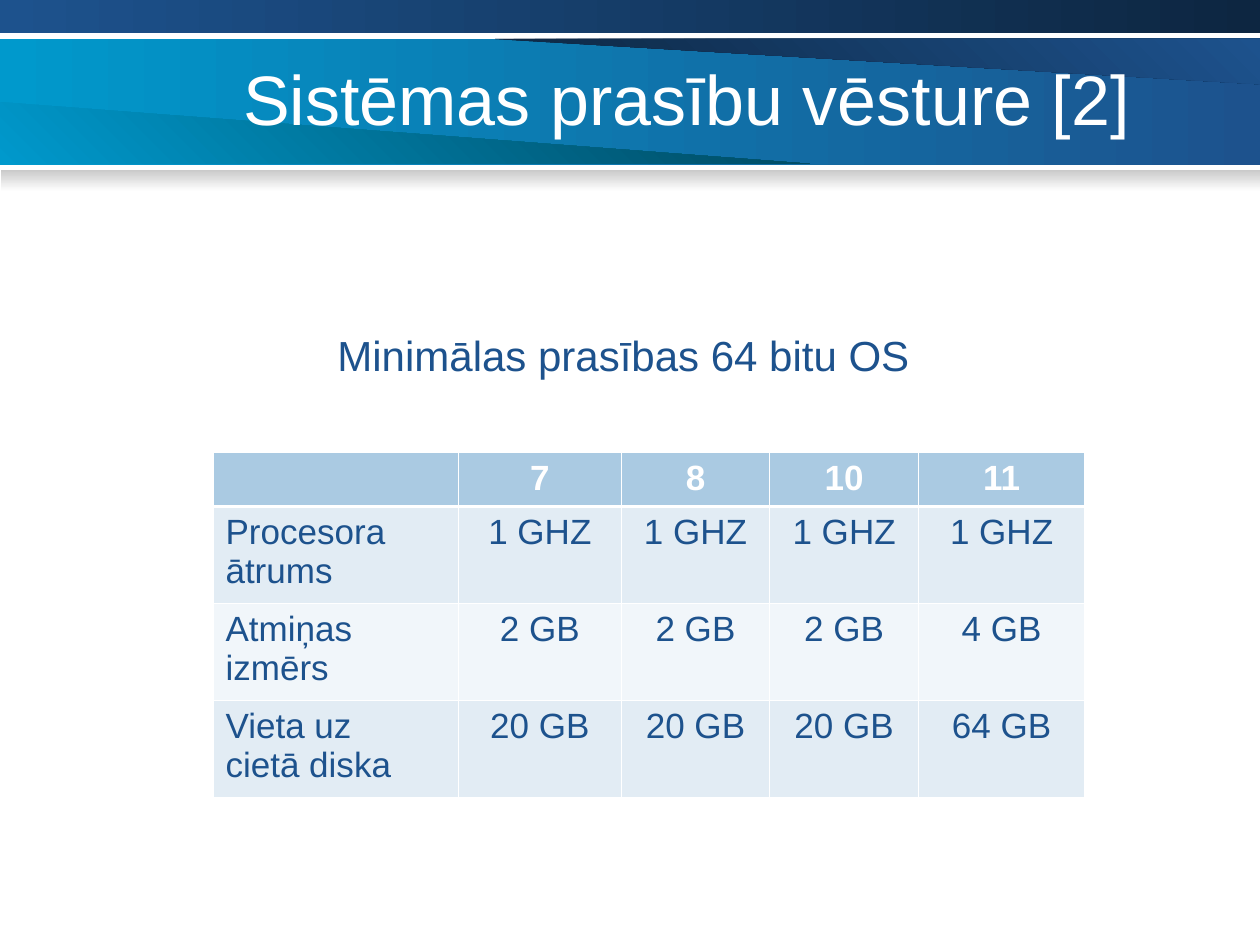
from lxml.etree import SubElement
from pptx import Presentation
from pptx.dml.color import RGBColor
from pptx.enum.shapes import MSO_SHAPE
from pptx.enum.text import MSO_ANCHOR, MSO_AUTO_SIZE, PP_ALIGN
from pptx.oxml.ns import qn
from pptx.util import Inches, Pt

WHITE = RGBColor(0xFF, 0xFF, 0xFF)
NAVY = RGBColor(0x1D, 0x52, 0x8D)
MIDNIGHT = RGBColor(0x0D, 0x26, 0x41)
CYAN = RGBColor(0x00, 0x99, 0xCC)
TEAL = RGBColor(0x00, 0x47, 0x5E)
GREY = RGBColor(0xCA, 0xCA, 0xCA)
HEADER = RGBColor(0xAA, 0xCA, 0xE2)
BANDS = RGBColor(0xF1, 0xF6, 0xFA), RGBColor(0xE2, 0xEC, 0xF4)

COLUMNS, ROWS = 100, 75
REQUIREMENTS = [
    ["", "7", "8", "10", "11"],
    ["Procesora ātrums"] + ["1 GHZ"] * 4,
    ["Atmiņas\vizmērs"] + ["2 GB"] * 3 + ["4 GB"],
    ["Vieta uz\vcietā diska"] + ["20 GB"] * 3 + ["64 GB"],
]


class RequirementsSlide:
    """Draws styled elements on a slide divided into 100 columns and 75 rows."""

    def __init__(self, deck):
        self.column = deck.slide_width / COLUMNS
        self.row = deck.slide_height / ROWS
        self.slide = deck.slides.add_slide(deck.slide_layouts[5])
        self.shapes = self.slide.shapes

    def place(self, left, top, width, height):
        return (round(left * self.column), round(top * self.row),
                round(width * self.column), round(height * self.row))

    def letter(self, frame, text, size, color=NAVY, bold=False, align=PP_ALIGN.LEFT):
        frame.text = text
        paragraph = frame.paragraphs[0]
        paragraph.alignment = align
        for run in paragraph.runs:
            run.font.color.rgb = color
            for name, value in {"name": "Arial", "size": Pt(size), "bold": bold}.items():
                setattr(run.font, name, value)

    def shade(self, shape, start, end, angle):
        shape.shadow.inherit = False
        shape.line.fill.background()
        shape.fill.gradient()
        shape.fill.gradient_angle = angle
        for stop, color in zip(shape.fill.gradient_stops, (start, end)):
            stop.color.rgb = color

    def band(self, box, start, end, angle=0):
        bar = self.shapes.add_shape(MSO_SHAPE.RECTANGLE, *self.place(*box))
        self.shade(bar, start, end, angle)

    def wedge(self, corners, start, end):
        points = [self.place(x, y, 0, 0)[:2] for x, y in corners]
        builder = self.shapes.build_freeform(*points[0])
        builder.add_line_segments(points[1:], close=True)
        self.shade(builder.convert_to_shape(), start, end, 45)

    def title(self, box, text):
        heading = self.shapes.title
        heading.left, heading.top, heading.width, heading.height = self.place(*box)
        frame = heading.text_frame
        for name, value in {"word_wrap": True, "margin_right": 0,
                            "auto_size": MSO_AUTO_SIZE.NONE,
                            "vertical_anchor": MSO_ANCHOR.MIDDLE}.items():
            setattr(frame, name, value)
        self.letter(frame, text, 40, WHITE)
        heading.element.getparent().append(heading.element)

    def caption(self, box, text):
        frame = self.shapes.add_textbox(*self.place(*box)).text_frame
        frame.word_wrap = False
        frame.auto_size = MSO_AUTO_SIZE.SHAPE_TO_FIT_TEXT
        self.letter(frame, text, 24)

    def border(self, cell, widths):
        properties = cell._tc.get_or_add_tcPr()
        for side, width in widths.items():
            edge = SubElement(properties, qn(f"a:ln{side}"), w=str(Pt(width)))
            paint = SubElement(edge, qn("a:solidFill"))
            SubElement(paint, qn("a:srgbClr"), val=str(WHITE))

    def table(self, corner, widths, heights, content):
        box = self.place(*corner, sum(widths), sum(heights))
        grid = self.shapes.add_table(len(heights), len(widths), *box).table
        for column, width in zip(grid.columns, widths):
            column.width = round(width * self.column)
        for r, texts in enumerate(content):
            grid.rows[r].height = round(heights[r] * self.row)
            for c, text in enumerate(texts):
                cell = grid.cell(r, c)
                self.border(cell, {"L": 0.45, "R": 0.45,
                                   "T": 1.47 if r == 1 else 0.45,
                                   "B": 1.47 if r == 0 else 0.45})
                cell.fill.solid()
                cell.fill.fore_color.rgb = BANDS[r % 2] if r else HEADER
                self.letter(cell.text_frame, text, 20, NAVY if r else WHITE, r == 0,
                            PP_ALIGN.CENTER if c else PP_ALIGN.LEFT)


def main():
    deck = Presentation()
    deck.slide_width, deck.slide_height = Inches(10), Inches(7.5)
    page = RequirementsSlide(deck)
    page.band((0, 3.1, COLUMNS, 10), CYAN, NAVY)
    page.wedge([(39.3, 3.1), (COLUMNS, 6.7), (COLUMNS, 3.1)], MIDNIGHT, NAVY)
    page.wedge([(0, 8.1), (64.3, 13), (0, 13)], CYAN, TEAL)
    page.band((0, 0, COLUMNS, 2.6), NAVY, MIDNIGHT)
    page.band((0.1, 13.5, 99.9, 1.7), GREY, WHITE, 270)
    page.title((18.3, 3, 72.5, 9.5), "Sistēmas prasību vēsture [2]")
    page.table((16.9, 35.9), [19.5, 12.9, 11.8, 11.8, 13.2],
               [4.3] + [7.7] * 3, REQUIREMENTS)
    page.caption((25.8, 25.7, 47.4, 5), "Minimālas prasības 64 bitu OS")
    deck.save("out.pptx")


if __name__ == "__main__":
    main()
